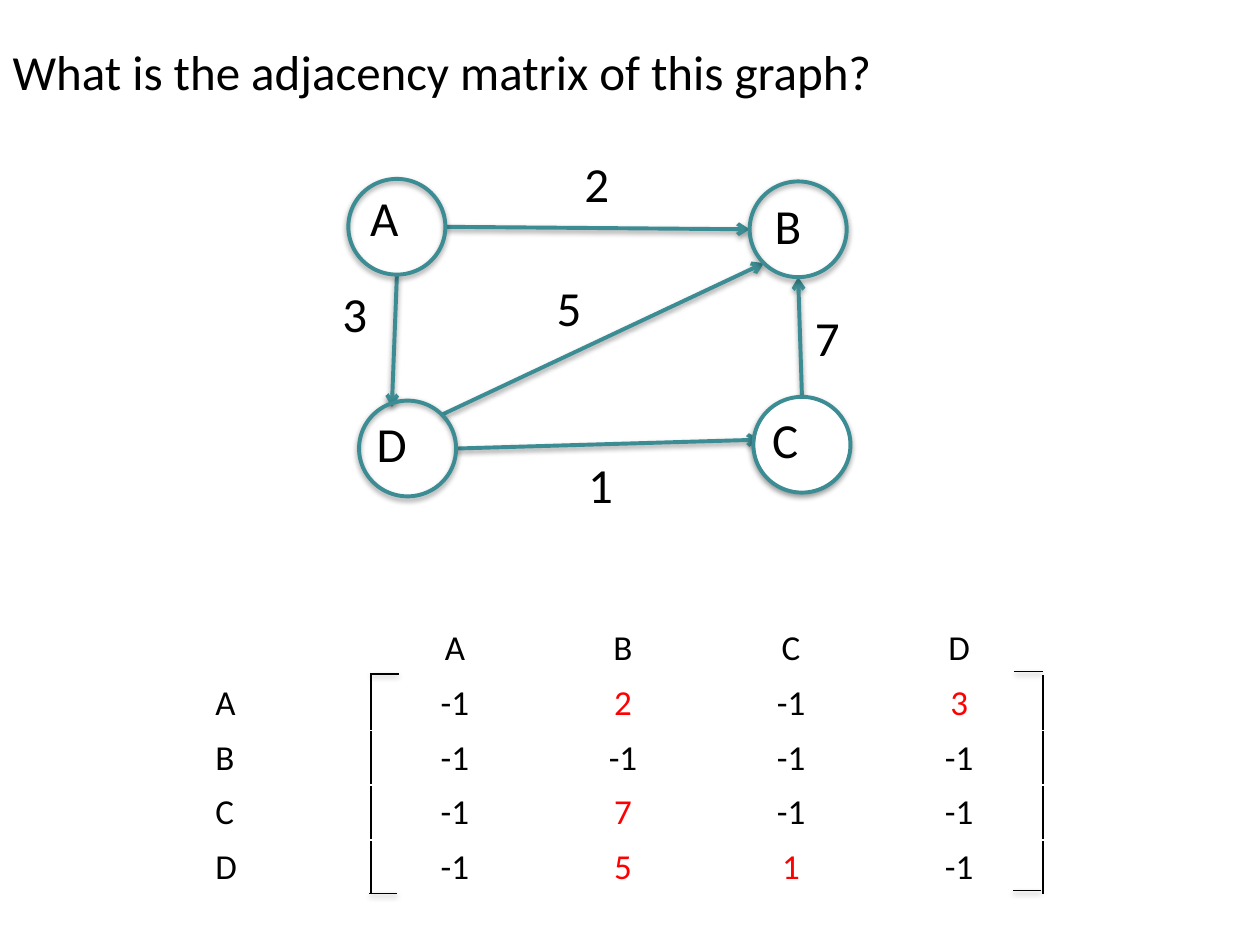
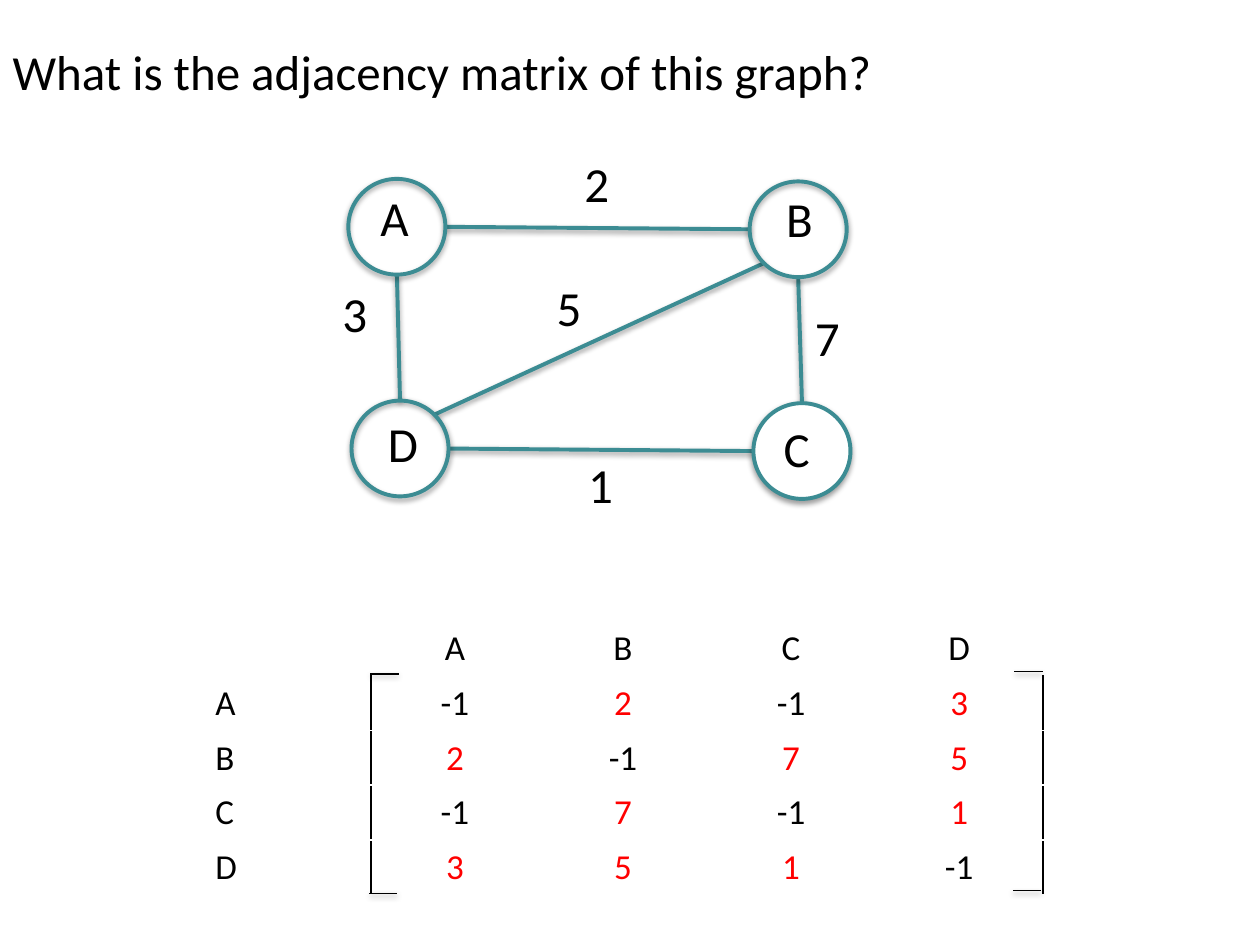
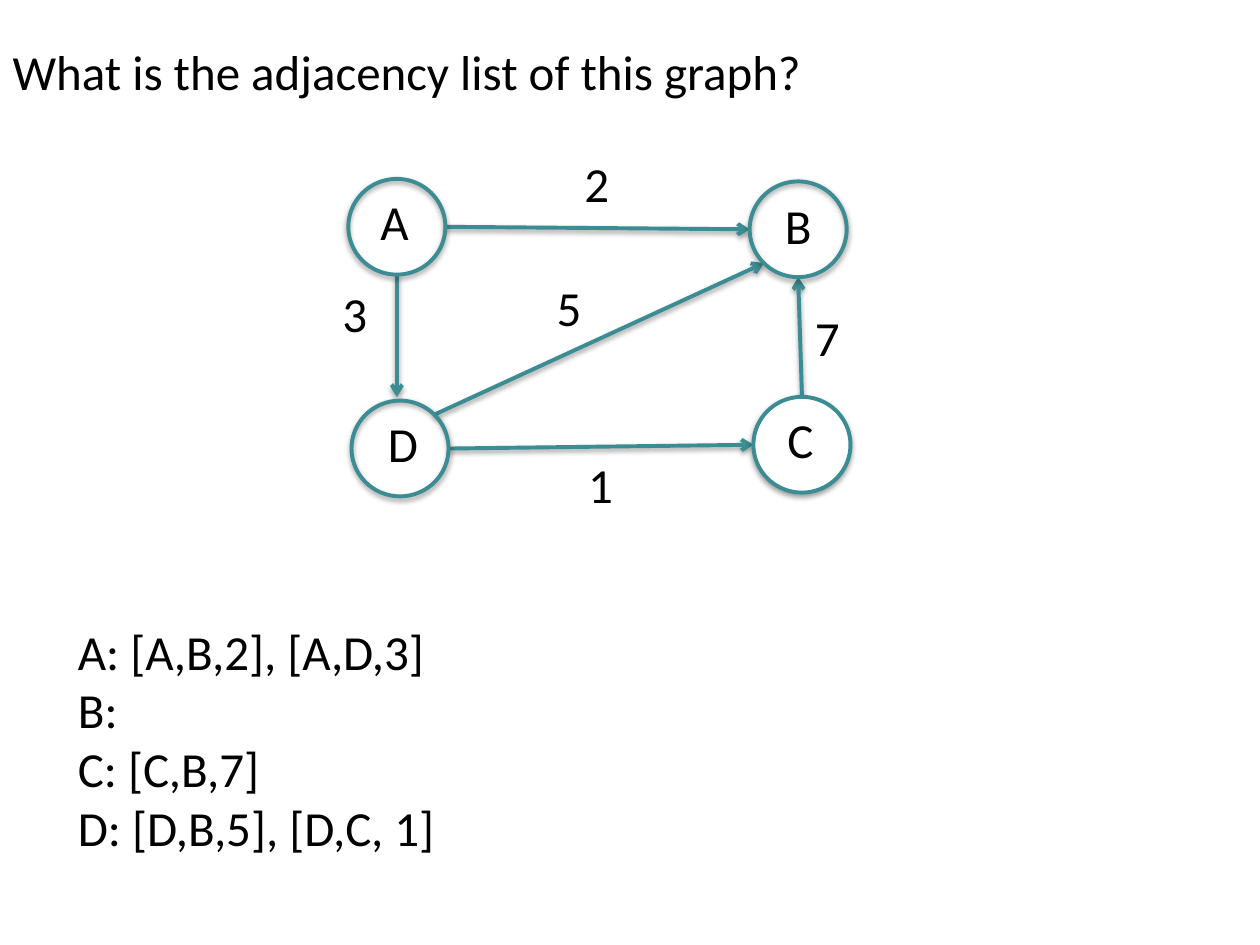
from dataclasses import dataclass, field
from math import cos, radians, sin

from lxml import etree
from pptx import Presentation
from pptx.dml.color import RGBColor
from pptx.enum.shapes import MSO_CONNECTOR, MSO_SHAPE
from pptx.enum.text import MSO_ANCHOR, MSO_AUTO_SIZE, PP_ALIGN
from pptx.oxml import parse_xml
from pptx.oxml.ns import nsdecls, qn
from pptx.util import Emu, Inches, Pt

STRAIGHT = MSO_CONNECTOR.STRAIGHT
ELLIPSE = MSO_SHAPE.OVAL
TOP = MSO_ANCHOR.TOP
LEFT, CENTER = PP_ALIGN.LEFT, PP_ALIGN.CENTER
FIXED, FIT_SHAPE = MSO_AUTO_SIZE.NONE, MSO_AUTO_SIZE.SHAPE_TO_FIT_TEXT

# The slide is a grid of 100 columns by 75 rows of square cells.
COLUMNS, ROWS = 100, 75
SLIDE_WIDTH = Inches(10)
CELL = SLIDE_WIDTH // COLUMNS

FONT = "Calibri"
BLACK, WHITE, RED, TEAL = "000000", "FFFFFF", "FF0000", "3C8C93"
TEXT_SIZE, TABLE_SIZE = 28, 20
TITLE_ONLY = 5

RADIUS_X, RADIUS_Y = 3.85, 3.8
LETTER_WIDTHS = {"A": 4.3, "B": 4.2, "C": 4.1, "D": 4.4}
LINE_HEIGHT = 5.7
WEIGHT_WIDTH = 4
NO_EDGE = "-1"

Point = tuple[float, float]


@dataclass(frozen=True)
class Node:
    center: Point
    letter_at: Point
    fill: str | None = None


@dataclass(frozen=True)
class Edge:
    """A link between two nodes; angles run clockwise from the right."""
    start: str
    start_angle: int
    end: str
    end_angle: int
    weight: str
    weight_at: Point


@dataclass(frozen=True)
class Graph:
    nodes: dict[str, Node]
    directed: bool = True
    end_shifts: dict[str, Point] = field(default_factory=dict)


EDGES = [
    Edge("D", 0, "C", 180, "1", (45.7, 35.6)),
    Edge("C", -90, "B", 90, "7", (63.7, 23.9)),
    Edge("A", 90, "D", -90, "3", (26.2, 22)),
    Edge("A", 0, "B", 180, "2", (45.4, 11.7)),
    Edge("D", -45, "B", 135, "5", (43.2, 21.5)),
]

A_CENTER, B_CENTER = (31.5, 18), (63.35, 18.2)
C_CENTER, D_CENTER = (63.65, 35.3), (31.75, 35.6)

DIRECTED_MATRIX_GRAPH = Graph(
    {"D": Node((32.35, 35.6), (28.9, 32.3)),
     "B": Node(B_CENTER, (60.5, 15)),
     "C": Node(C_CENTER, (60.3, 32), WHITE),
     "A": Node(A_CENTER, (28.4, 14.4))},
    end_shifts={"AD": (-1.25, 0.5), "DC": (0.5, -0.4)},
)
UNDIRECTED_MATRIX_GRAPH = Graph(
    {"D": Node(D_CENTER, (29.8, 32.3)),
     "B": Node(B_CENTER, (61.4, 14.5)),
     "C": Node((63.65, 35.8), (61.2, 32.7), WHITE),
     "A": Node(A_CENTER, (29.2, 14.4))},
    directed=False,
)
LIST_GRAPH = Graph(
    {"D": Node(D_CENTER, (29.8, 32.3)),
     "B": Node(B_CENTER, (61.3, 15)),
     "C": Node(C_CENTER, (61.5, 32), WHITE),
     "A": Node(A_CENTER, (29.2, 14.7))},
    end_shifts={"AD": (-0.25, -0.3)},
)

ADJACENCY_LIST = ["A: [A,B,2], [A,D,3]", "B:", "C: [C,B,7]", "D: [D,B,5], [D,C, 1]"]

TABLE_LEFT, TABLE_TOP, TABLE_WIDTH, TABLE_HEIGHT = 16.1, 49.3, 66.7, 21.7
BRACKET_TICKS = [(29.4, 53.5), (29.3, 70.9), (80.5, 53.3), (80.4, 70.7)]
TICK_LENGTH = 2.25


def cells(count: float) -> Emu:
    return Emu(round(count * CELL))


def color(value: str) -> RGBColor:
    return RGBColor.from_string(value)


def format_text(text_frame, size: int, text_color: str = BLACK, alignment=LEFT) -> None:
    for paragraph in text_frame.paragraphs:
        paragraph.alignment = alignment
        for run in paragraph.runs:
            run.font.name = FONT
            run.font.size = Pt(size)
            run.font.color.rgb = color(text_color)


def add_shadow(shape) -> None:
    """Give a shape or connector the soft shadow that falls straight down."""
    shape._element.spPr.append(parse_xml(
        f'<a:effectLst {nsdecls("a")}>'
        '<a:outerShdw blurRad="40000" dist="20000" dir="5400000" rotWithShape="0">'
        f'<a:srgbClr val="{BLACK}"><a:alpha val="38000"/></a:srgbClr>'
        '</a:outerShdw></a:effectLst>'))


def add_line(slide, start: Point, end: Point, line_color: str, width: float,
             arrow: bool = False) -> None:
    connector = slide.shapes.add_connector(STRAIGHT, *map(cells, start + end))
    connector.line.color.rgb = color(line_color)
    connector.line.width = Pt(width)
    if arrow:
        line = connector._element.spPr.find(qn("a:ln"))
        etree.SubElement(line, qn("a:tailEnd"), type="arrow")
    add_shadow(connector)


def add_text(slide, at: Point, width: float, height: float, text: str) -> None:
    box = slide.shapes.add_textbox(*map(cells, (*at, width, height)))
    text_frame = box.text_frame
    text_frame.word_wrap = False
    text_frame.auto_size = FIT_SHAPE
    text_frame.text = text
    format_text(text_frame, TEXT_SIZE)


def rim_point(center: Point, angle: int) -> Point:
    """Return the point of a node's outline at the given angle."""
    return (center[0] + RADIUS_X * cos(radians(angle)),
            center[1] + RADIUS_Y * sin(radians(angle)))


def add_edge(slide, graph: Graph, edge: Edge) -> None:
    start = rim_point(graph.nodes[edge.start].center, edge.start_angle)
    x, y = rim_point(graph.nodes[edge.end].center, edge.end_angle)
    shift_x, shift_y = graph.end_shifts.get(edge.start + edge.end, (0, 0))
    add_line(slide, start, (x + shift_x, y + shift_y), TEAL, 2.25, graph.directed)


def add_node(slide, name: str, node: Node) -> None:
    x, y = node.center
    circle = slide.shapes.add_shape(ELLIPSE, *map(
        cells, (x - RADIUS_X, y - RADIUS_Y, 2 * RADIUS_X, 2 * RADIUS_Y)))
    if node.fill:
        circle.fill.solid()
        circle.fill.fore_color.rgb = color(node.fill)
    else:
        circle.fill.background()
    circle.line.color.rgb = color(TEAL)
    circle.line.width = Pt(2.25)
    add_shadow(circle)
    add_text(slide, node.letter_at, LETTER_WIDTHS[name], LINE_HEIGHT, name)


def add_graph(slide, graph: Graph) -> None:
    for edge in EDGES:
        add_edge(slide, graph, edge)
    for name, node in graph.nodes.items():
        add_node(slide, name, node)
    for edge in EDGES:
        add_text(slide, edge.weight_at, WEIGHT_WIDTH, LINE_HEIGHT, edge.weight)


def adjacency_rows(graph: Graph) -> list[list[str]]:
    """Return the weight matrix with its header row and header column."""
    names = sorted(graph.nodes)
    weights = {(edge.start, edge.end): edge.weight for edge in EDGES}
    if not graph.directed:
        weights |= {(edge.end, edge.start): edge.weight for edge in EDGES}
    body = [[name] + [weights.get((name, other), NO_EDGE) for other in names]
            for name in names]
    return [["", *names], *body]


def add_border(cell, side: str) -> None:
    cell._tc.get_or_add_tcPr().insert(0, parse_xml(
        f'<a:{side} {nsdecls("a")} w="12700"><a:solidFill>'
        f'<a:srgbClr val="{BLACK}"/></a:solidFill></a:{side}>'))


def add_matrix(slide, graph: Graph) -> None:
    rows = adjacency_rows(graph)
    size = len(rows)
    table = slide.shapes.add_table(size, size, *map(
        cells, (TABLE_LEFT, TABLE_TOP, TABLE_WIDTH, TABLE_HEIGHT))).table
    table.first_row = table.horz_banding = False
    border_sides = {0: "lnR", 1: "lnL", size - 1: "lnR"}
    for row_index, row in enumerate(rows):
        for column_index, text in enumerate(row):
            cell = table.cell(row_index, column_index)
            cell.fill.background()
            cell.text_frame.text = text
            is_weight = text.isdigit()
            format_text(cell.text_frame, TABLE_SIZE, RED if is_weight else BLACK,
                        CENTER if column_index else LEFT)
            if row_index and column_index in border_sides:
                add_border(cell, border_sides[column_index])
    for x, y in BRACKET_TICKS:
        add_line(slide, (x, y), (x + TICK_LENGTH, y), BLACK, 0.75)


def add_graph_slide(presentation, title_text: str, graph: Graph):
    slide = presentation.slides.add_slide(presentation.slide_layouts[TITLE_ONLY])
    title = slide.shapes.title
    title.left, title.top, title.width, title.height = map(
        cells, (0, 2.8, 95.2, LINE_HEIGHT))
    title.text_frame.text = title_text
    title.text_frame.word_wrap = True
    title.text_frame.auto_size = FIXED
    title.text_frame.vertical_anchor = TOP
    format_text(title.text_frame, TEXT_SIZE)
    add_graph(slide, graph)
    return slide


def main() -> None:
    presentation = Presentation()
    presentation.slide_width = SLIDE_WIDTH
    presentation.slide_height = cells(ROWS)
    for graph in (DIRECTED_MATRIX_GRAPH, UNDIRECTED_MATRIX_GRAPH):
        slide = add_graph_slide(
            presentation, "What is the adjacency matrix of this graph?", graph)
        add_matrix(slide, graph)
    slide = add_graph_slide(
        presentation, "What is the adjacency list of this graph?", LIST_GRAPH)
    add_text(slide, (5.2, 48.8), 30.9, 19.9, "\n".join(ADJACENCY_LIST))
    presentation.save("out.pptx")


if __name__ == "__main__":
    main()
